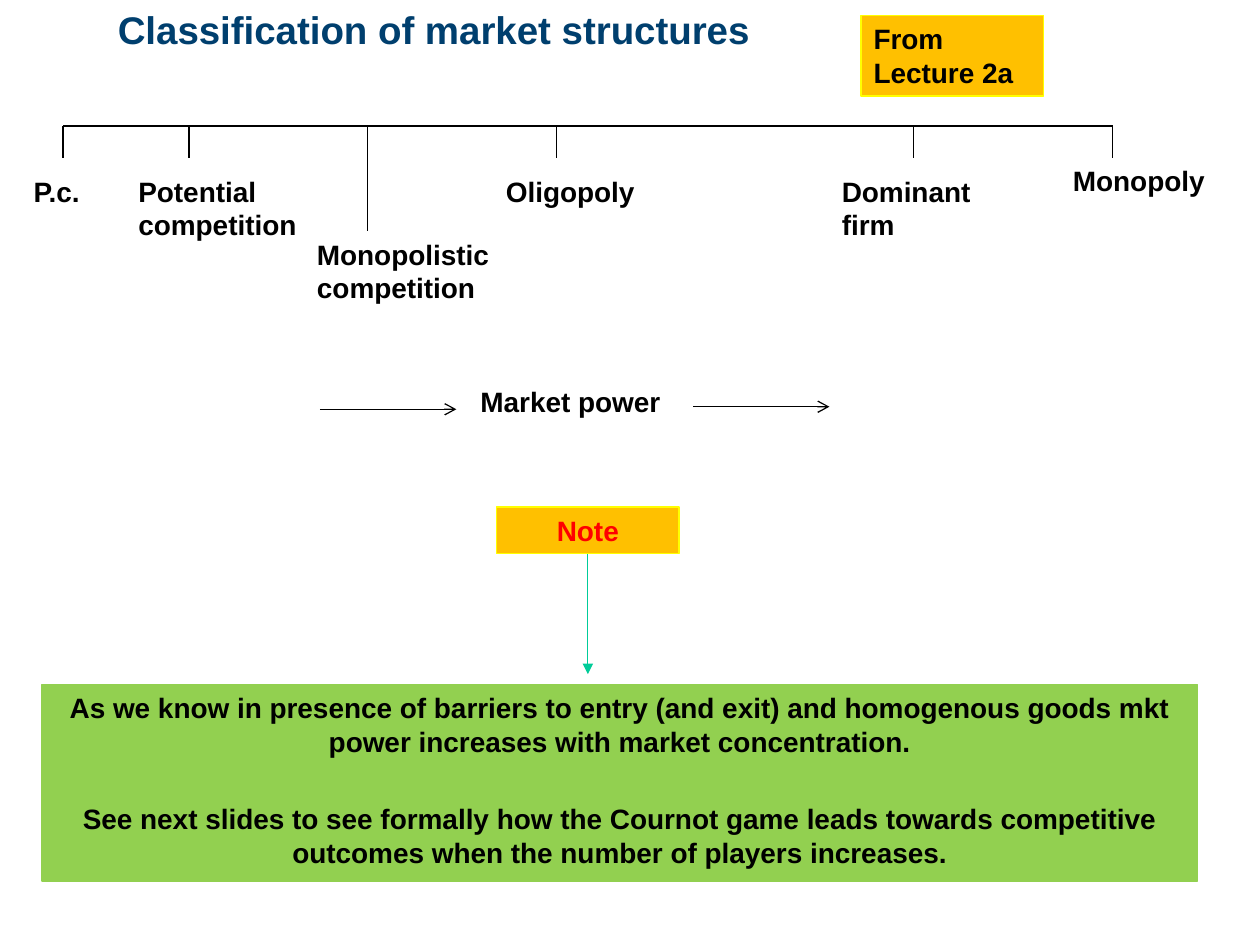
from dataclasses import dataclass

from lxml import etree
from pptx import Presentation
from pptx.dml.color import RGBColor
from pptx.enum.shapes import MSO_CONNECTOR, MSO_SHAPE
from pptx.enum.text import MSO_ANCHOR, MSO_AUTO_SIZE, PP_ALIGN
from pptx.oxml.ns import qn
from pptx.util import Cm, Pt

RECT = MSO_SHAPE.RECTANGLE
STRAIGHT = MSO_CONNECTOR.STRAIGHT
TOP = MSO_ANCHOR.TOP
FIXED = MSO_AUTO_SIZE.NONE
LEFT, CENTER = PP_ALIGN.LEFT, PP_ALIGN.CENTER
TITLE_ONLY = 5
BOTTOM = 2


@dataclass(frozen=True)
class Theme:
    font: str = "Arial"
    head: int = 22
    body: int = 16
    gap: int = 25
    thin: float = 0.75
    navy: str = "003F6E"
    black: str = "000000"
    red: str = "FF0000"
    gold: str = "FFC000"
    yellow: str = "FFFF00"
    green: str = "92D050"
    teal: str = "00CC99"


class Painter:
    def __init__(self, theme, slide):
        self.theme = theme
        self.slide = slide

    def fill_text(self, shape, lines, color, size, align):
        frame = shape.text_frame
        frame.text = "\n".join(lines)
        frame.word_wrap = True
        frame.auto_size = FIXED
        frame.vertical_anchor = TOP
        for i, para in enumerate(frame.paragraphs):
            para.alignment = align
            para.space_before = Pt(self.theme.gap if i else 0)
            font = para.font
            font.name = self.theme.font
            font.size = Pt(size)
            font.bold = True
            font.color.rgb = RGBColor.from_string(color)

    def title(self, text, x, y, w, h):
        shape = self.slide.shapes.title
        shape.left, shape.top, shape.width, shape.height = map(Cm, (x, y, w, h))
        self.fill_text(shape, [text], self.theme.navy, self.theme.head, LEFT)

    def label(self, text, x, y, w, h, align=LEFT):
        shape = self.slide.shapes.add_textbox(Cm(x), Cm(y), Cm(w), Cm(h))
        self.fill_text(shape, [text], self.theme.black, self.theme.body, align)

    def box(self, lines, x, y, w, h, fill, edge, color, align=CENTER):
        shape = self.slide.shapes.add_shape(RECT, Cm(x), Cm(y), Cm(w), Cm(h))
        shape.shadow.inherit = False
        shape.fill.solid()
        shape.fill.fore_color.rgb = RGBColor.from_string(fill)
        shape.line.color.rgb = RGBColor.from_string(edge)
        shape.line.width = Pt(self.theme.thin)
        self.fill_text(shape, lines, color, self.theme.body, align)
        return shape

    def line(self, x1, y1, x2, y2, color=None, tip=None):
        """Draw a straight line; tip names the arrowhead at its end."""
        line = self.slide.shapes.add_connector(
            STRAIGHT, Cm(x1), Cm(y1), Cm(x2), Cm(y2))
        line.line.color.rgb = RGBColor.from_string(color or self.theme.black)
        line.line.width = Pt(self.theme.thin)
        props = line.element.spPr
        if tip:
            etree.SubElement(props.find(qn("a:ln")), qn("a:tailEnd"), type=tip)
        etree.SubElement(props, qn("a:effectLst"))
        return line


def main():
    deck = Presentation()
    deck.slide_width, deck.slide_height = Cm(25.4), Cm(19.05)
    theme = Theme()
    pen = Painter(theme, deck.slides.add_slide(deck.slide_layouts[TITLE_ONLY]))

    pen.title("Classification of market structures", 2.12, 0, 16.51, 2.33)
    pen.box(["From Lecture 2a"], 17.36, 0.31, 3.68, 1.63,
            theme.gold, theme.yellow, theme.black, LEFT)

    # Each market form: name, tick x, tick end, then label x, y, w, h
    axis = 2.54
    forms = [
        ("P.c.", 1.27, 3.18, 0.43, 3.39, 2.54, 0.94),
        ("Potential competition", 3.81, 3.18, 2.54, 3.39, 5.29, 1.63),
        ("Monopolistic competition", 7.41, 4.66, 6.14, 4.66, 4.23, 1.63),
        ("Oligopoly", 11.22, 3.18, 9.95, 3.39, 3.18, 0.94),
        ("Dominant firm", 18.42, 3.18, 16.72, 3.39, 3.81, 1.63),
        ("Monopoly", 22.43, 3.18, 21.38, 3.18, 3.18, 0.94),
    ]
    pen.line(forms[0][1], axis, forms[-1][1], axis)
    for name, tick, end, *place in forms:
        pen.line(tick, axis, tick, end)
        pen.label(name, *place)

    pen.label("Market power", 6.95, 7.62, 9.1, 0.94, CENTER)
    for x, y in [(6.45, 8.25), (13.97, 8.2)]:
        pen.line(x, y, x + 2.75, y, tip="arrow")

    note = pen.box(["Note"], 10.01, 10.22, 3.68, 0.94,
                   theme.gold, theme.yellow, theme.red)
    pen.box(
        ["As we know in presence of barriers to entry (and exit) and "
         "homogenous goods mkt power increases with market concentration.",
         "See next slides to see formally how the Cournot game leads towards "
         "competitive outcomes when the number of players increases."],
        0.85, 13.8, 23.29, 3.96, theme.green, theme.green, theme.black)
    arrow = pen.line(11.85, 11.16, 11.85, 13.59, theme.teal, "triangle")
    arrow.begin_connect(note, BOTTOM)

    deck.save("out.pptx")


if __name__ == "__main__":
    main()
